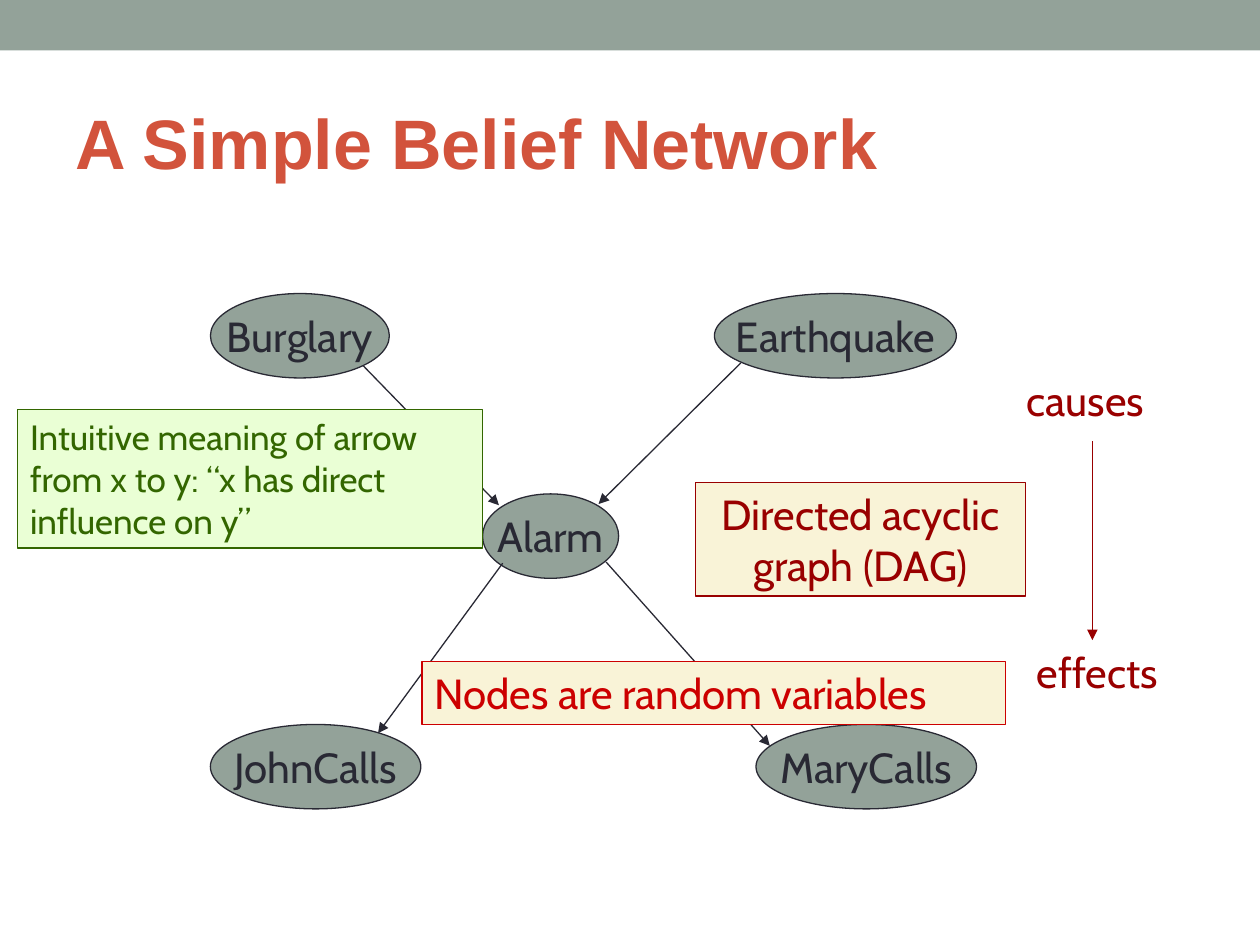
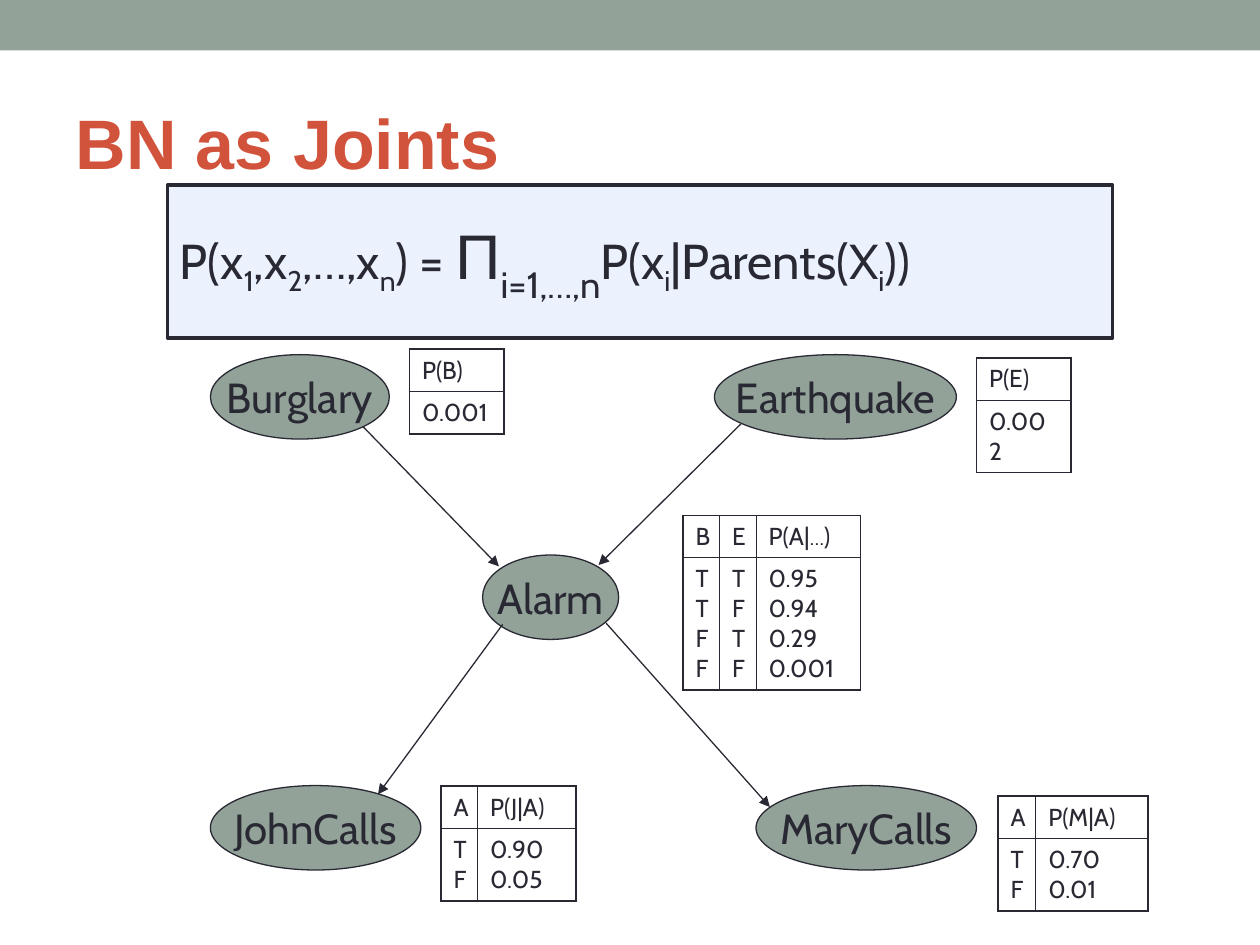
from dataclasses import dataclass

from lxml import etree
from pptx import Presentation
from pptx.dml.color import RGBColor
from pptx.enum.shapes import MSO_CONNECTOR as Conn, MSO_SHAPE as Shape
from pptx.enum.text import MSO_ANCHOR as Anchor, PP_ALIGN as Align
from pptx.oxml.ns import qn
from pptx.util import Inches, Pt


@dataclass(frozen=True)
class Theme:
    sage: str = "93A299"
    ink: str = "292934"
    coral: str = "D2533C"
    maroon: str = "990000"
    red: str = "CC0000"
    green: str = "336600"
    mint: str = "EAFFD5"
    cream: str = "F9F3D7"
    ice: str = "ECF1FE"
    head: str = "Arial"
    body: str = "Cabin"
    title: int = 40
    prod: int = 36
    math: int = 28
    text: int = 24
    note: int = 20
    cell: int = 14
    dots: int = 12
    thin: float = 0.75
    thick: float = 2.25
    outer: float = 1.08
    inner: float = 0.45


T = Theme()

# Content: the network, shared by both slides (y is for the first one)
TITLES = ["A Simple Belief Network", "BN as Joints"]
DROP = 0.485
NODE_H = 0.67
NODES = [  # name, left, top, width
    ("Burglary", 1.67, 2.33, 1.42),
    ("Earthquake", 5.67, 2.33, 1.92),
    ("Alarm", 3.83, 3.92, 1.08),
    ("MaryCalls", 6, 5.75, 1.75),
    ("JohnCalls", 1.67, 5.75, 1.67),
]
EDGES = [  # start x, y, end x, y
    (2.88, 2.9, 3.96, 4.01),
    (5.88, 2.88, 4.75, 4),
    (3.99, 4.47, 3, 5.82),
    (4.81, 4.46, 6.11, 5.92),
]

# Content: first slide
FLOW = (8.67, 3.5, 8.67, 5.08)
LABELS = [
    ("causes", (8.05, 2.92, 1.26, 0.5)),
    ("effects", (8.13, 5.08, 1.24, 0.5)),
]
NOTES = [  # paragraphs, place, fill, colour, size, align
    (["Directed acyclic\ngraph (DAG)"], (5.52, 3.83, 2.62, 0.9),
     T.cream, T.maroon, T.text, Align.CENTER),
    (["Intuitive meaning of arrow",
      "from x to y: “x has direct\ninfluence on y”"],
     (0.14, 3.25, 3.69, 1.1), T.mint, T.green, T.note, Align.LEFT),
    (["Nodes are random variables"], (3.35, 5.25, 4.63, 0.5),
     T.cream, T.red, T.text, Align.LEFT),
]

# Content: second slide
TABLES = [  # left, top, column widths, rows
    (5.42, 4.09, [0.29, 0.29, 0.83],
     [["B", "E", [("P(A|", T.cell), ("…", T.dots), (")", T.cell)]],
      ["TTFF", "TFTF", "0.95\n0.94\n0.29\n0.001"]]),
    (3.25, 2.77, [0.75], [["P(B)"], ["0.001"]]),
    (7.75, 2.84, [0.75], [["P(E)"], ["0.002"]]),
    (3.5, 6.24, [0.29, 0.78], [["A", "P(J|A)"], ["TF", "0.90\n0.05"]]),
    (7.92, 6.32, [0.3, 0.89], [["A", "P(M|A)"], ["TF", "0.70\n0.01"]]),
]
RULE_AT = (1.33, 1.47, 7.5, 1.21)
RULE = [  # text, size, baseline shift in percent, font
    ("P(x", T.math, 0, T.body), ("1", T.math, -25, T.body),
    (",x", T.math, 0, T.body), ("2", T.math, -25, T.body),
    (",…,x", T.math, 0, T.body), ("n", T.math, -25, T.body),
    (") = ", T.math, 0, T.body), ("Π", T.prod, 0, T.head),
    ("i=1,…,n", T.prod, -30, T.body), ("P(x", T.math, 0, T.body),
    ("i", T.math, -25, T.body), ("|Parents(X", T.math, 0, T.body),
    ("i", T.math, -25, T.body), ("))", T.math, 0, T.body),
]


# Helpers
def rgb(code):
    return RGBColor.from_string(code)


def place(box):
    return [Inches(n) for n in box]


def style(run, size, color=T.ink, face=T.body, bold=False):
    font = run.font
    font.size, font.name, font.bold = Pt(size), face, bold
    font.color.rgb = rgb(color)


def write(frame, paras, size, color=T.ink, align=Align.LEFT):
    for i, text in enumerate(paras):
        par = frame.add_paragraph() if i else frame.paragraphs[0]
        par.text, par.alignment = text, align
        for run in par.runs:
            style(run, size, color)


def write_runs(par, parts):
    par.alignment = Align.LEFT
    for text, size, *rest in parts:
        base, face = rest or (0, T.body)
        run = par.add_run()
        run.text = text
        style(run, size, face=face)
        if base:
            run.font._element.set("baseline", str(base * 1000))


def add_box(slide, kind, box, fill, line=None, width=T.thin):
    shape = slide.shapes.add_shape(kind, *place(box))
    shape.shadow.inherit = False
    shape.fill.solid()
    shape.fill.fore_color.rgb = rgb(fill)
    if line:
        shape.line.color.rgb, shape.line.width = rgb(line), Pt(width)
    else:
        shape.line.fill.background()
    shape.text_frame.vertical_anchor = Anchor.TOP
    return shape


def add_arrow(slide, ends, color=T.ink):
    link = slide.shapes.add_connector(Conn.STRAIGHT, *place(ends))
    link.line.color.rgb, link.line.width = rgb(color), Pt(T.thin)
    etree.SubElement(link.line._get_or_add_ln(), qn("a:tailEnd"),
                     type="triangle")
    etree.SubElement(link.element.spPr, qn("a:effectLst"))


def add_net(slide, drop=0):
    for name, x, y, w in NODES:
        node = add_box(slide, Shape.OVAL, (x, y + drop, w, NODE_H),
                       T.sage, T.ink)
        frame = node.text_frame
        frame.word_wrap, frame.vertical_anchor = False, Anchor.MIDDLE
        write(frame, [name], T.text, align=Align.CENTER)
    for x1, y1, x2, y2 in EDGES:
        add_arrow(slide, (x1, y1 + drop, x2, y2 + drop))


def add_border(cell, edges):
    props = cell._tc.get_or_add_tcPr()
    for i, (side, outer) in enumerate(edges):
        width = Pt(T.outer if outer else T.inner)
        line = etree.Element(qn(f"a:ln{side}"), w=str(int(width)))
        fill = etree.SubElement(line, qn("a:solidFill"))
        etree.SubElement(fill, qn("a:srgbClr"), val=T.ink)
        props.insert(i, line)


def add_odds(slide, x, y, cols, rows):
    lines = [max(c.count("\n") + 1 for c in row if isinstance(c, str))
             if any(isinstance(c, str) for c in row) else 1 for row in rows]
    highs = [0.1 + 0.235 * n for n in lines]
    box = place((x, y, sum(cols), sum(highs)))
    table = slide.shapes.add_table(len(rows), len(cols), *box).table
    table.first_row = table.horz_banding = False
    for col, w in zip(table.columns, cols):
        col.width = Inches(w)
    for r, row in enumerate(rows):
        table.rows[r].height = Inches(highs[r])
        for c, value in enumerate(row):
            cell = table.cell(r, c)
            cell.fill.background()
            if isinstance(value, str):
                write(cell.text_frame, [value], T.cell)
            else:
                write_runs(cell.text_frame.paragraphs[0], value)
            add_border(cell, [("L", c == 0), ("R", c == len(cols) - 1),
                              ("T", r == 0), ("B", r == len(rows) - 1)])


def add_slide(deck, text):
    slide = deck.slides.add_slide(deck.slide_layouts[5])
    title = slide.shapes.title
    title.left, title.top, title.width, title.height = place(
        (0.5, 0.58, 9, 1.08))
    frame = title.text_frame
    frame.text, frame.vertical_anchor = text, Anchor.MIDDLE
    par = frame.paragraphs[0]
    par.alignment = Align.LEFT
    style(par.runs[0], T.title, T.coral, T.head, True)
    return slide


# Slides
def add_simple(slide):
    add_net(slide)
    for text, box in LABELS:
        label = slide.shapes.add_textbox(*place(box))
        label.text_frame.word_wrap = True
        write(label.text_frame, [text], T.text, T.maroon)
    add_arrow(slide, FLOW, T.maroon)
    for paras, box, fill, color, size, align in NOTES:
        note = add_box(slide, Shape.RECTANGLE, box, fill, color)
        write(note.text_frame, paras, size, color, align)


def add_joints(slide):
    add_net(slide, DROP)
    for odds in TABLES:
        add_odds(slide, *odds)
    rule = add_box(slide, Shape.RECTANGLE, RULE_AT, T.ice, T.ink, T.thick)
    frame = rule.text_frame
    frame.margin_top = frame.margin_bottom = Inches(0.25)
    write_runs(frame.paragraphs[0], RULE)


def main():
    deck = Presentation()
    deck.slide_width, deck.slide_height = Inches(10), Inches(7.5)
    simple, joints = [add_slide(deck, text) for text in TITLES]
    # The band moves to the master, behind everything else
    band = add_box(simple, Shape.RECTANGLE, (0, 0, 10, 0.4), T.sage)
    deck.slide_master.shapes.element.insert(2, band.element)
    add_simple(simple)
    add_joints(joints)
    deck.save("out.pptx")


if __name__ == "__main__":
    main()
